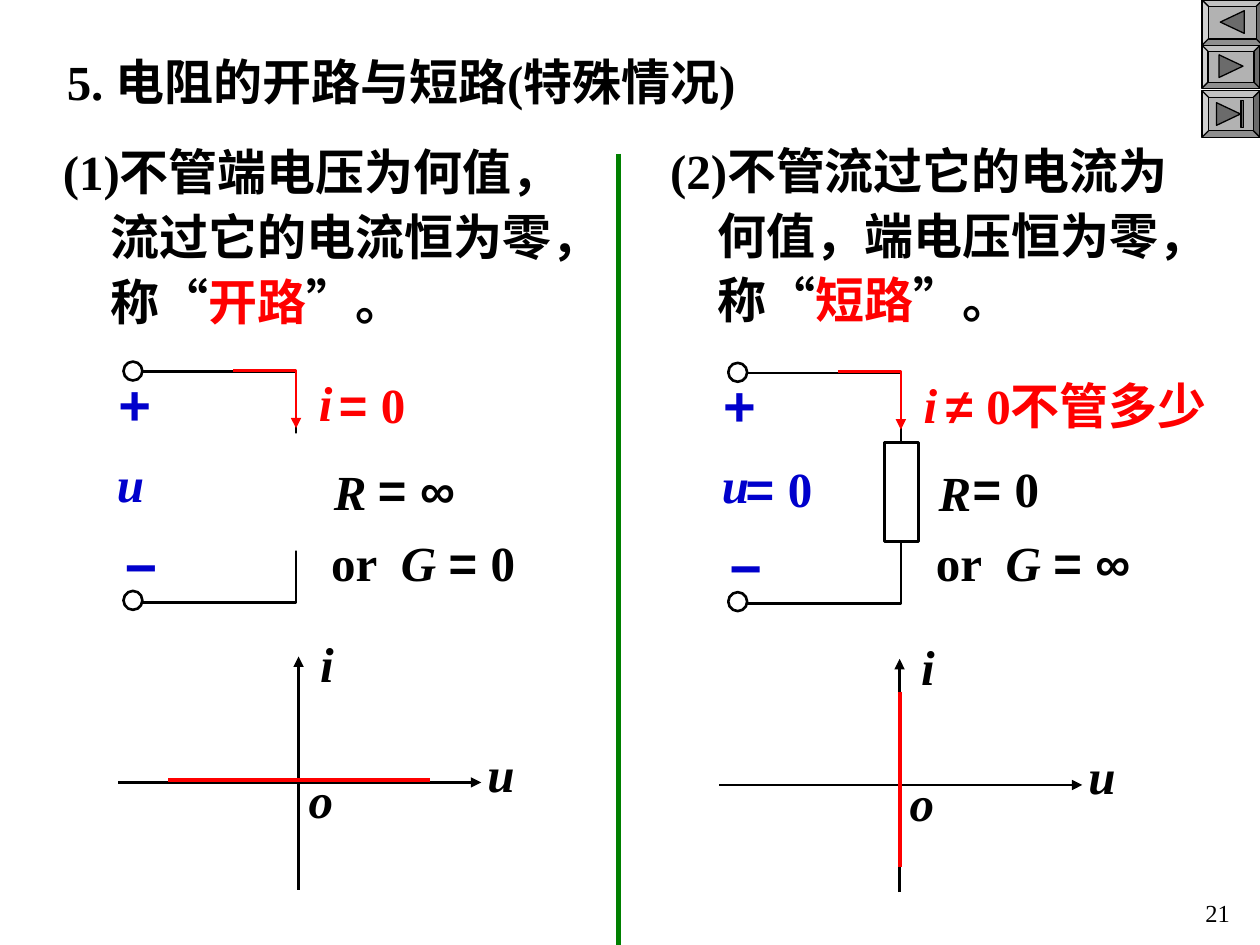
from lxml import etree
from pptx import Presentation
from pptx.dml.color import RGBColor
from pptx.enum.shapes import MSO_CONNECTOR, MSO_SHAPE
from pptx.enum.text import MSO_ANCHOR, MSO_AUTO_SIZE, PP_ALIGN
from pptx.oxml.ns import qn
from pptx.util import Inches, Pt

BLACK = RGBColor(0x00, 0x00, 0x00)
WHITE = RGBColor(0xFF, 0xFF, 0xFF)
RED = RGBColor(0xFF, 0x00, 0x00)
BLUE = RGBColor(0x00, 0x00, 0xCC)
GREEN = RGBColor(0x00, 0x80, 0x00)
GRAY = RGBColor(0xB2, 0xB2, 0xB2)
DARK_GRAY = RGBColor(0x6B, 0x6B, 0x6B)
SERIF, SANS = "Times New Roman", "Arial"


def add_span(para, text, size=28, color=BLACK, font=SERIF, bold=True, italic=False):
    span = para.add_run()
    span.text = text
    span.font.size = Pt(size)
    span.font.color.rgb = color
    span.font.name = font
    span.font.bold = bold
    span.font.italic = italic


class SlideBuilder:
    def __init__(self, page):
        self.page = page
        self.shapes = page.shapes

    def title(self, text, left, top, width, height):
        box = self.shapes.title
        box.left, box.top, box.width, box.height = map(Inches, (left, top, width, height))
        frame = box.text_frame
        frame.auto_size = MSO_AUTO_SIZE.NONE
        frame.vertical_anchor = MSO_ANCHOR.MIDDLE
        frame.paragraphs[0].alignment = PP_ALIGN.LEFT
        add_span(frame.paragraphs[0], text)

    def text(self, left, top, width, height, *spans, align=PP_ALIGN.LEFT, wrap=False):
        """Each span is a pair of its text and its format."""
        box = self.shapes.add_textbox(*map(Inches, (left, top, width, height)))
        box.text_frame.word_wrap = wrap
        para = box.text_frame.paragraphs[0]
        para.alignment = align
        for words, style in spans:
            add_span(para, words, **style)
        return para

    def symbol(self, left, top, width, letter, height=0.57, **style):
        self.text(left, top, width, height, (letter, style), align=PP_ALIGN.CENTER)

    def statement(self, left, top, width, start, term):
        para = self.text(left, top, width, 1.64, (start + "，称“", {}),
                         (term, {"color": RED}), ("”。", {}), wrap=True)
        para.line_spacing = 1.1
        para.space_before = Pt(3.5)
        properties = para._p.get_or_add_pPr()
        properties.set("marL", str(Inches(0.38)))
        properties.set("indent", str(-Inches(0.38)))

    def outline(self, shape, color, weight, arrow=False):
        shape.line.color.rgb = color
        shape.line.width = Pt(weight)
        if arrow:
            etree.SubElement(shape.line._get_or_add_ln(), qn("a:tailEnd"), type="triangle")

    def line(self, x1, y1, x2, y2, color=BLACK, weight=1.5, arrow=False):
        line = self.shapes.add_connector(MSO_CONNECTOR.STRAIGHT,
                                         *map(Inches, (x1, y1, x2, y2)))
        self.outline(line, color, weight, arrow)
        etree.SubElement(line._element.spPr, qn("a:effectLst"))

    def wire(self, points, color=BLACK, arrow=False):
        start, *others = [(Inches(x), Inches(y)) for x, y in points]
        builder = self.shapes.build_freeform(*start, scale=1.0)
        builder.add_line_segments(others, close=False)
        wire = builder.convert_to_shape()
        wire.shadow.inherit = False
        wire.fill.background()
        self.outline(wire, color, 1.5, arrow)

    def shape(self, kind, left, top, width, height, fill=WHITE, weight=1.5):
        shape = self.shapes.add_shape(kind, *map(Inches, (left, top, width, height)))
        shape.shadow.inherit = False
        shape.fill.solid()
        shape.fill.fore_color.rgb = fill
        if weight:
            self.outline(shape, BLACK, weight)
        else:
            shape.line.fill.background()
        return shape

    def button(self, top, width, height):
        bevel = self.shape(MSO_SHAPE.BEVEL, 9.54, top, width, height, GRAY, 0.75)
        bevel.adjustments[0] = 0.14

    def triangle(self, left, top, rotation):
        # An upright 0.18 by 0.19 triangle turned about its centre
        arrow = self.shape(MSO_SHAPE.ISOSCELES_TRIANGLE, left, top, 0.18, 0.19,
                           DARK_GRAY, 0.75)
        arrow.rotation = rotation

    def graph(self, x, y):
        """Axes crossing at x, y."""
        self.line(x - 1.43, y, x + 1.45, y, arrow=True)
        self.line(x, y + 0.85, x, y - 1, arrow=True)
        self.symbol(x - 0.02, y - 0.15, 0.39, "o", italic=True)
        self.symbol(x + 1.4, y - 0.36, 0.41, "u", italic=True)
        self.symbol(x + 0.07, y - 1.23, 0.31, "i", italic=True)

    def circuit(self, x, y):
        """Two terminals and their wire, with x, y the upper wire's corner."""
        bottom = y + 1.83
        self.wire([(x - 1.31, y), (x, y), (x, bottom), (x - 1.33, bottom)])
        for top in (y - 0.08, bottom - 0.09):
            self.shape(MSO_SHAPE.OVAL, x - 1.37, top, 0.15, 0.15)
        self.symbol(x - 1.51, y - 0.07, 0.46, "+", 0.64, size=32, color=BLUE, font=SANS)
        self.symbol(x - 1.46, y + 1.22, 0.35, "−", 0.64, size=32, color=BLUE, font=SANS)
        self.symbol(x - 1.52, y + 0.6, 0.41, "u", color=BLUE, italic=True)
        self.symbol(x + 0.08, y - 0.04, 0.31, "i", color=RED, italic=True)
        self.symbol(x + 0.2, y + 0.66, 0.46, "R", italic=True)
        self.wire([(x - 0.5, y - 0.01), (x, y - 0.01), (x, y + 0.45)], RED, arrow=True)

    def equals_zero(self, left, top, color=BLACK):
        self.text(left, top, 0.89, 0.57, ("= ", {"font": SANS, "color": color}),
                  ("0", {"color": color}))

    def conductance(self, left, *value):
        self.text(left, 4.18, 1.95, 0.57, ("or ", {}), (" G ", {"italic": True}),
                  *value, wrap=True)


def main():
    deck = Presentation()
    deck.slide_width, deck.slide_height = Inches(10), Inches(7.5)
    slide = SlideBuilder(deck.slides.add_slide(deck.slide_layouts[5]))

    # Navigation buttons: back, forward, last
    for top, width, height in ((0, 0.48, 0.36), (0.36, 0.46, 0.34), (0.72, 0.46, 0.37)):
        slide.button(top, width, height)
    slide.triangle(9.69, 0.08, -90)
    slide.triangle(9.68, 0.43, 90)
    slide.triangle(9.66, 0.81, 90)
    slide.shape(MSO_SHAPE.RECTANGLE, 9.85, 0.8, 0.02, 0.21, DARK_GRAY, 0.75)

    # Title, the two statements and the divider
    slide.title("5. 电阻的开路与短路(特殊情况)", 0.43, 0.36, 6.4, 0.57)
    slide.statement(0.4, 1.03, 4.21, "(1)不管端电压为何值，流过它的电流恒为零", "开路")
    slide.statement(5.22, 1.02, 4.33, "(2)不管流过它的电流为何值，端电压恒为零", "短路")
    slide.line(4.91, 1.22, 4.91, 7.5, GREEN, 3)

    # Open circuit: a white block breaks the wire
    slide.circuit(2.35, 2.95)
    slide.shape(MSO_SHAPE.RECTANGLE, 2.04, 3.44, 0.56, 0.93, weight=0)
    slide.equals_zero(2.59, 2.92, RED)
    slide.symbol(2.81, 3.6, 0.99, "= ∞", font=SANS)
    slide.conductance(2.53, ("= ", {"font": SANS}), ("0", {}))
    slide.graph(2.37, 6.21)
    slide.line(3.41, 6.19, 1.33, 6.19, RED, 2.25)

    # Short circuit: a resistor sits on the wire
    slide.circuit(7.15, 2.96)
    slide.shape(MSO_SHAPE.RECTANGLE, 7.02, 3.51, 0.27, 0.79)
    slide.text(7.41, 2.93, 2.5, 0.57, ("≠ ", {"font": SANS, "color": RED}),
               ("0不管多少", {"color": RED}), wrap=True)
    slide.equals_zero(5.82, 3.59, BLUE)
    slide.equals_zero(7.62, 3.59)
    slide.conductance(7.33, ("= ∞", {"font": SANS}))
    slide.graph(7.14, 6.23)
    slide.line(7.14, 5.49, 7.14, 6.88, RED, 2.25)

    # Page number
    slide.text(7.78, 7.08, 2.08, 0.4, ("21", {"size": 14, "bold": False}),
               align=PP_ALIGN.RIGHT, wrap=True)

    deck.save("out.pptx")


if __name__ == "__main__":
    main()
